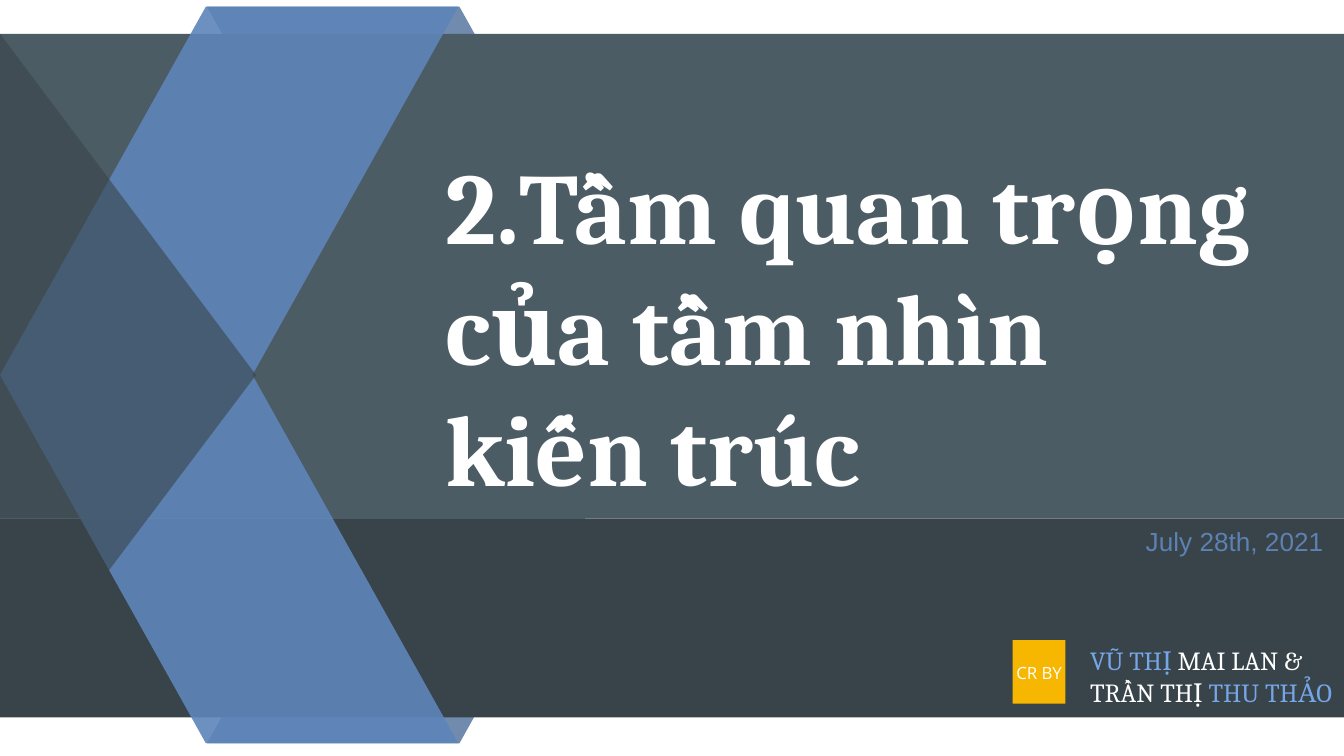
from lxml import etree
from pptx import Presentation
from pptx.dml.color import RGBColor
from pptx.enum.shapes import MSO_SHAPE
from pptx.enum.text import PP_ALIGN
from pptx.oxml.ns import qn
from pptx.util import Pt

RECT = MSO_SHAPE.RECTANGLE
SLANT = MSO_SHAPE.PARALLELOGRAM
WEDGE = MSO_SHAPE.ISOSCELES_TRIANGLE
LEFT, MID, RIGHT = PP_ALIGN.LEFT, PP_ALIGN.CENTER, PP_ALIGN.RIGHT

WHITE = RGBColor(0xFF, 0xFF, 0xFF)
SLATE = RGBColor(0x4C, 0x5C, 0x64)
DARK = RGBColor(0x38, 0x44, 0x4A)
BLUE = RGBColor(0x5E, 0x85, 0xB9)
NAVY = RGBColor(0x4E, 0x6E, 0x9A)
DATE = RGBColor(0x5D, 0x81, 0xB1)
SKY = RGBColor(0x75, 0xA6, 0xE7)
GOLD = RGBColor(0xF7, 0xB6, 0x00)


def add_form(slide, kind, box, color, alpha=100, adj=None, turn=0, flip=False):
    """Add a preset shape with a plain fill, no outline and no shadow."""
    shape = slide.shapes.add_shape(kind, *map(Pt, box))
    shape.shadow.inherit = False
    shape.fill.solid()
    shape.fill.fore_color.rgb = color
    shape.line.fill.background()
    props = shape._element.spPr
    if alpha < 100:
        tint = props.find(qn("a:solidFill")).find(qn("a:srgbClr"))
        etree.SubElement(tint, qn("a:alpha")).set("val", str(alpha * 1000))
    if adj is not None:
        shape.adjustments[0] = adj
    shape.rotation = turn
    if flip:
        props.find(qn("a:xfrm")).set("flipH", "1")


def add_text(slide, box, lines, size, font, align=LEFT, inset=7.2, bold=False):
    """Each line is a list of (text, color) parts; a part may hold a break."""
    frame = slide.shapes.add_textbox(*map(Pt, box)).text_frame
    frame.word_wrap = True
    frame.margin_left = frame.margin_right = Pt(inset)
    frame.margin_top = frame.margin_bottom = Pt(inset)
    for i, parts in enumerate(lines):
        para = frame.add_paragraph() if i else frame.paragraphs[0]
        para.alignment = align
        for text, color in parts:
            start = len(para.runs)
            for j, piece in enumerate(text.split("\v")):
                if j:
                    para.add_line_break()
                para.add_run().text = piece
            for run in para.runs[start:]:
                run.font.size, run.font.name = Pt(size), font
                run.font.bold = bold
                run.font.color.rgb = color
    return frame


def add_back(slide):
    wide, high, top, low = 245.5, 197.3, 3.6, 200.9
    # Folded ends behind the bands
    for y, flip in ((low, False), (top, True)):
        add_form(slide, SLANT, (110.9, y, wide, high), NAVY, 80, 0.559, 180, flip)
    # Bands
    add_form(slide, RECT, (-0.7, 18.2, 720.7, 259.4), SLATE)
    add_form(slide, RECT, (-0.7, 277.7, 720.7, 106.7), DARK)
    # Front ribbon and the shade over it
    for y, flip in ((top, False), (low, True)):
        add_form(slide, SLANT, (0, y, wide, high), BLUE, 91, 0.559, 0, flip)
    add_form(slide, WEDGE, (-114.5, 131.8, 365.8, 137.5), DARK, 60, 0.501, 90)


def main():
    deck = Presentation()
    deck.slide_width, deck.slide_height = Pt(720), Pt(405)
    slide = deck.slides.add_slide(deck.slide_layouts[6])
    add_back(slide)

    # Title and date
    title = "2.Tầm quan trọng của tầm nhìn\vkiến trúc"
    add_text(slide, (231.5, 70, 506.2, 63.4), [[(title, WHITE)]],
             54, "Cambria", bold=True)
    date = add_text(slide, (571, 271.6, 149, 32.4),
                    [[("July 28th, 2021 ", DATE)]], 14, "Arial", RIGHT)
    date.paragraphs[0].line_spacing = 1.15
    date.paragraphs[0].space_after = Pt(16)

    # Credit label on a plain block
    add_form(slide, RECT, (542.5, 343, 28.2, 34), GOLD)
    add_text(slide, (542.5, 355, 28.2, 16.6), [[("CR BY", WHITE)]],
             9, "Open Sans", MID, 0)

    # Authors
    names = [
        [("VŨ THỊ ", SKY), ("MAI LAN &", WHITE)],
        [("TRẦN THỊ ", WHITE), ("THU THẢO", SKY)],
    ]
    add_text(slide, (576.9, 338.2, 149, 43.2), names, 14, "Cambria")
    deck.save("out.pptx")


if __name__ == "__main__":
    main()
